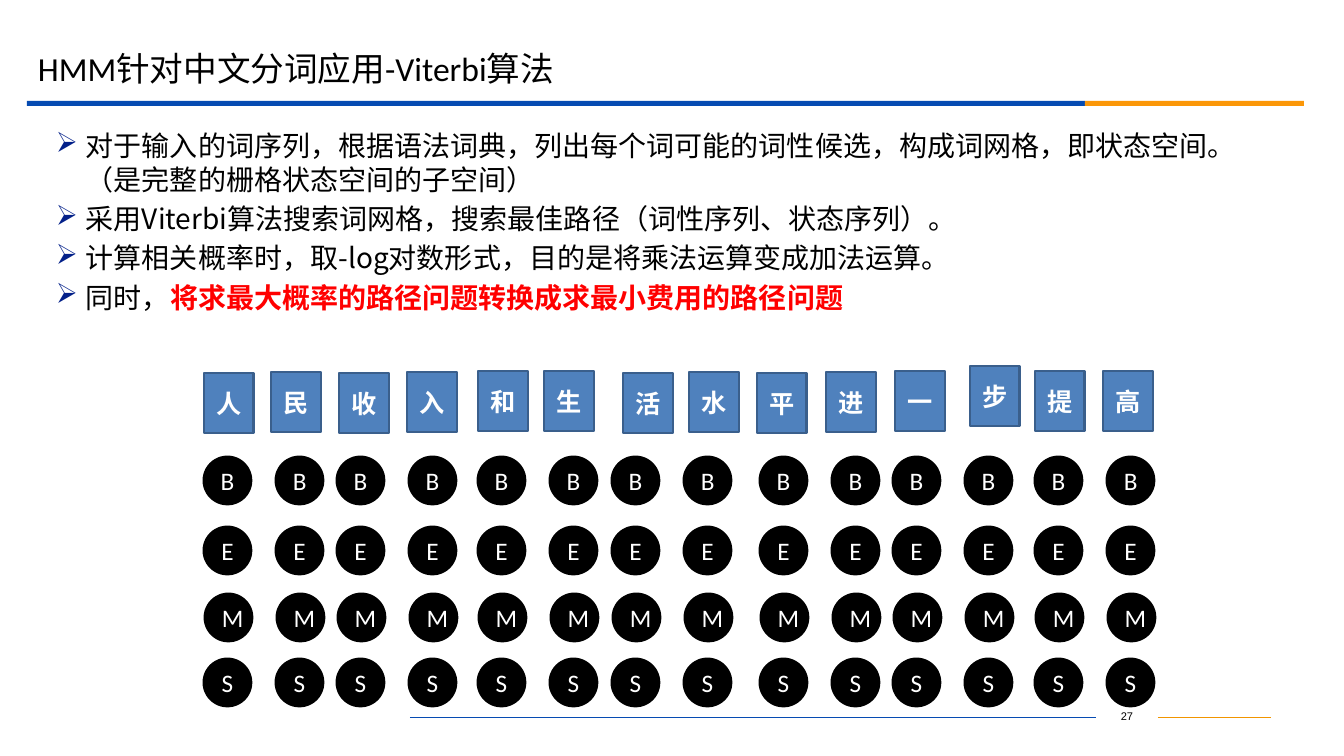
from lxml.etree import SubElement
from pptx import Presentation
from pptx.dml.color import RGBColor
from pptx.enum.shapes import MSO_CONNECTOR, MSO_SHAPE
from pptx.enum.text import MSO_ANCHOR, PP_ALIGN
from pptx.oxml.ns import qn
from pptx.util import Pt

PX = 914400 / 100.8
CJK = "Noto Sans CJK SC"


def px(*lengths):
    """Turn px lengths into EMU."""
    return [round(n * PX) for n in lengths]


def add_run(p, text, size, color, font="Calibri", bold=False):
    r = p.add_run()
    r.text = text
    r.font.size = Pt(size)
    r.font.name = font
    r.font.bold = bold
    r.font.color.rgb = RGBColor.from_string(color)
    SubElement(r.font._element, qn("a:ea")).set("typeface", CJK)


prs = Presentation()
prs.slide_width, prs.slide_height = px(1344, 756)
slide = prs.slides.add_slide(prs.slide_layouts[6])
shapes = slide.shapes

# Footer: page number between two rules
tf = shapes.add_textbox(*px(1096, 705, 62, 25)).text_frame
tf.word_wrap = True
p = tf.paragraphs[0]
p.alignment = PP_ALIGN.CENTER
add_run(p, "27", 7.9, "000000", "Arial")
for x1, x2, color in [(1158, 1271, "F19500"), (410, 1096, "064BB2")]:
    rule = shapes.add_connector(MSO_CONNECTOR.STRAIGHT, *px(x1, 718, x2, 718))
    rule.line.color.rgb = RGBColor.from_string(color)
    rule.line.width = Pt(0.75)
    SubElement(rule._element.spPr, qn("a:effectLst"))

# Title with its two-colour bar
for x, width, color in [(27, 1058, "064BB2"), (1085, 219, "FB9708")]:
    bar = shapes.add_shape(MSO_SHAPE.RECTANGLE, *px(x, 101, width, 5))
    bar.shadow.inherit = False
    bar.fill.solid()
    bar.fill.fore_color.rgb = RGBColor.from_string(color)
    bar.line.fill.background()
tf = shapes.add_textbox(*px(28, 39, 1210, 58)).text_frame
tf.word_wrap = True
tf.vertical_anchor = MSO_ANCHOR.MIDDLE
add_run(tf.paragraphs[0], "HMM针对中文分词应用-Viterbi算法", 24, "000000")

# Bulleted explanation: plain text, then emphasised text
bullets = [
    ("对于输入的词序列，根据语法词典，列出每个词可能的词性候选，构成词网格，即状态空间。（是完整的栅格状态空间的子空间）", ""),
    ("采用Viterbi算法搜索词网格，搜索最佳路径（词性序列、状态序列）。", ""),
    ("计算相关概率时，取-log对数形式，目的是将乘法运算变成加法运算。", ""),
    ("同时，", "将求最大概率的路径问题转换成求最小费用的路径问题"),
]
tf = shapes.add_textbox(*px(46, 124, 1225, 549)).text_frame
tf.word_wrap = True
for i, (plain, strong) in enumerate(bullets):
    p = tf.add_paragraph() if i else tf.paragraphs[0]
    p.line_spacing = 1.0
    p.space_before = Pt(4)
    pPr = p._p.get_or_add_pPr()
    indent = px(30)[0]
    pPr.set("marL", str(indent))
    pPr.set("indent", str(-indent))
    bullet_color = SubElement(pPr, qn("a:buClr"))
    SubElement(bullet_color, qn("a:srgbClr")).set("val", "032089")
    SubElement(pPr, qn("a:buChar")).set("char", "➢")
    add_run(p, plain, 20, "000000", CJK)
    if strong:
        add_run(p, strong, 20, "FF0000", CJK, bold=True)

# Sentence tiles: character, left, top
tiles = [
    ("人", 204, 373), ("民", 271, 372), ("收", 339, 373), ("入", 407, 372),
    ("和", 478, 371), ("生", 544, 371), ("活", 623, 373), ("水", 689, 372),
    ("平", 757, 373), ("进", 826, 372), ("一", 895, 371), ("步", 970, 366),
    ("提", 1035, 371), ("高", 1103, 371),
]
nodes = [(MSO_SHAPE.RECTANGLE, x, y, 50, 60, char, "4F81BD", "3A5F8C", True)
         for char, x, y in tiles]

# State lattice: columns come in pairs, one row per tag
pair_lefts = [204, 337, 478, 612, 760, 893, 1035]
tag_rows = [("B", 0, 457), ("E", 0, 527), ("M", 1, 594), ("S", 0, 659)]
for pair_left in pair_lefts:
    for x in (pair_left, pair_left + 72):
        for tag, shift, y in tag_rows:
            nodes.append((MSO_SHAPE.OVAL, x + shift, y, 47, 47, tag,
                          "000000", "000000", False))

for kind, x, y, w, h, text, fill, line, bold in nodes:
    sp = shapes.add_shape(kind, *px(x, y, w, h))
    sp.shadow.inherit = False
    sp.fill.solid()
    sp.fill.fore_color.rgb = RGBColor.from_string(fill)
    sp.line.color.rgb = RGBColor.from_string(line)
    sp.line.width = Pt(2)
    tf = sp.text_frame
    tf.vertical_anchor = MSO_ANCHOR.MIDDLE
    p = tf.paragraphs[0]
    p.alignment = PP_ALIGN.CENTER
    add_run(p, text, 18, "FFFFFF", bold=bold)

prs.save("out.pptx")
